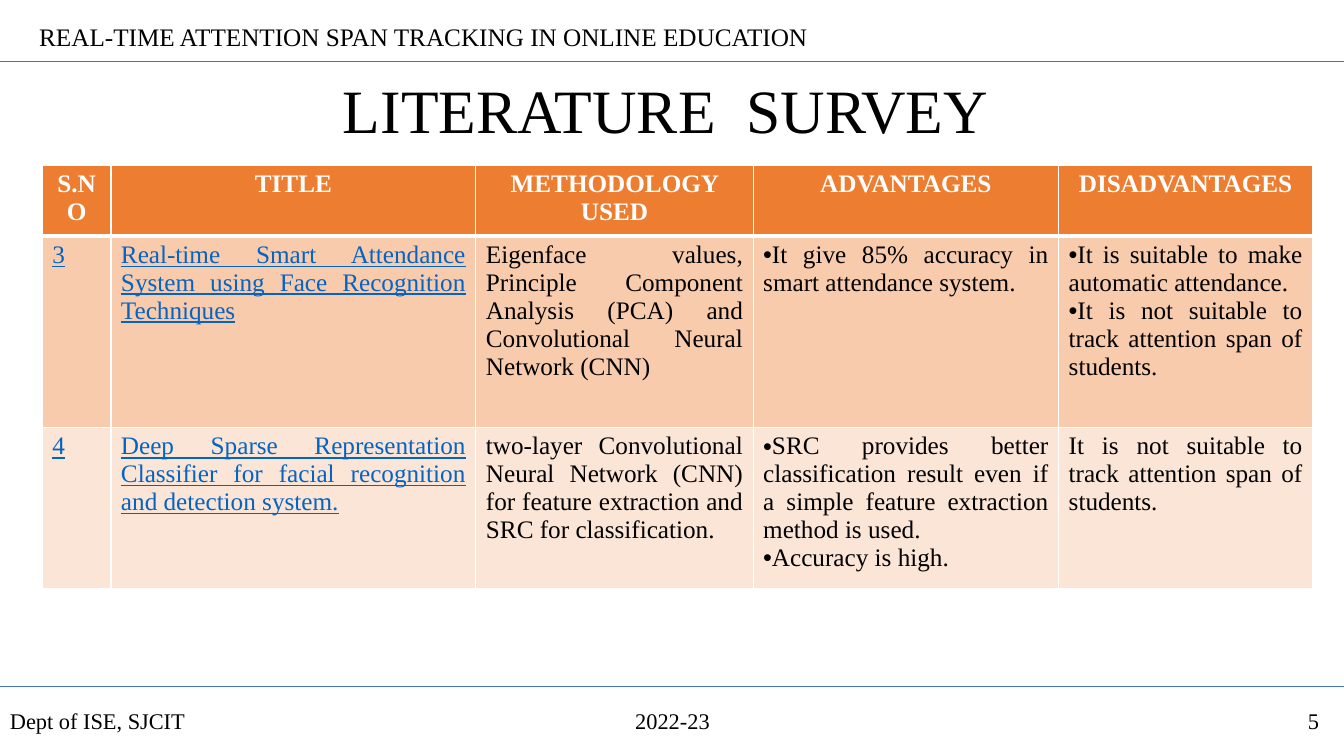
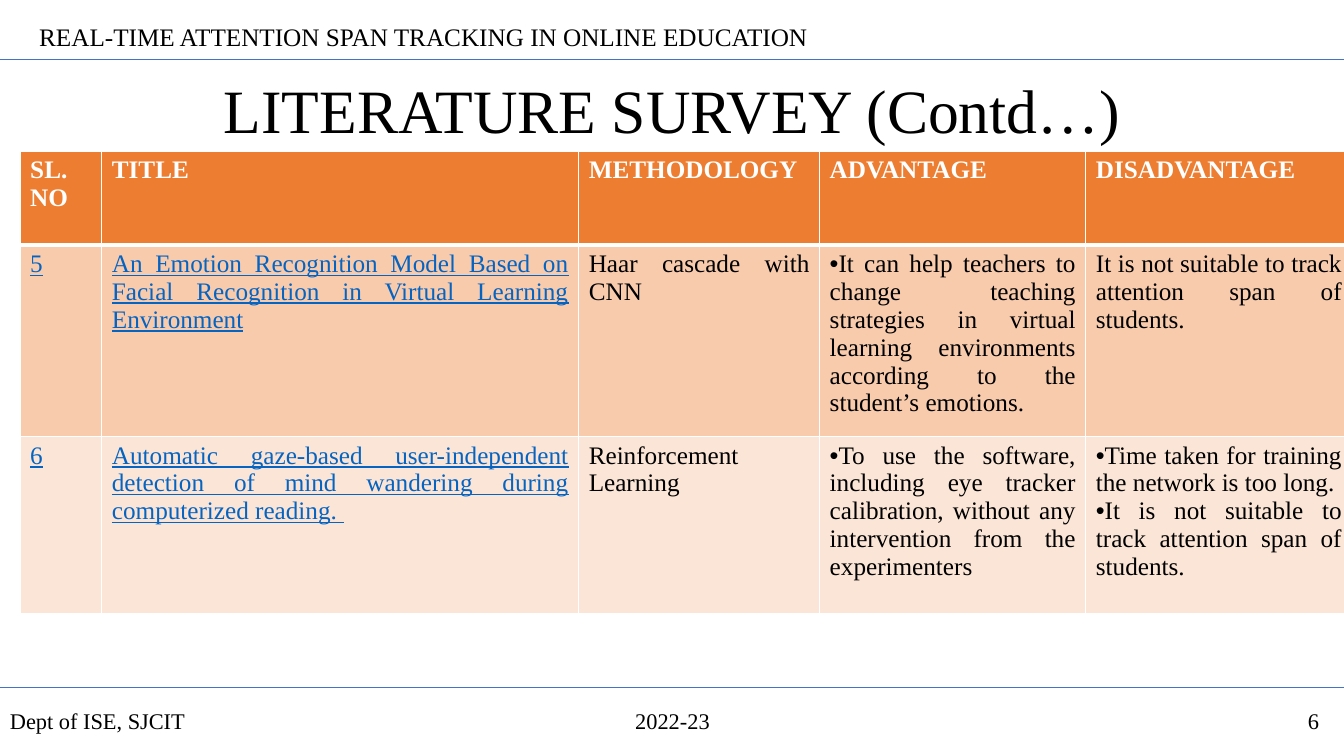
"""Builds two literature survey slides with a shared header, footer and table style."""
from lxml import etree
from pptx import Presentation
from pptx import util as u
from pptx.dml.color import RGBColor
from pptx.enum import shapes, text
from pptx.oxml import ns

FONT = "Times New Roman"
COLORS = {
    "text": "000000",
    "rule": "4472C4",
    "link": "0563C1",
    "white": "FFFFFF",
    "header": "ED7D31",
    "odd_row": "F8CBAD",
    "even_row": "FBE5D6",
}
ALIGN = text.PP_ALIGN
ANCHOR = text.MSO_ANCHOR
UNSUITABLE = "It is not suitable to track attention span of students."

SURVEYS = [
    {
        "title": "LITERATURE  SURVEY ",
        "page": "5",
        "rules": [0.61, 6.81],
        "origin": (0.42, 1.64),
        "columns": [0.68, 3.62, 2.75, 3.03, 2.52],
        "rows": [0.7, 1.9, 1.6],
        "header_align": ALIGN.CENTER,
        "cells": [
            ["S.NO", "TITLE", "METHODOLOGY USED", "ADVANTAGES", "DISADVANTAGES"],
            [
                "3",
                "Real-time Smart Attendance System using Face Recognition Techniques",
                "Eigenface values, Principle Component Analysis (PCA) and "
                "Convolutional Neural Network (CNN)",
                "•It give 85% accuracy in smart attendance system.",
                "•It is suitable to make automatic attendance.\n•" + UNSUITABLE,
            ],
            [
                "4",
                "Deep Sparse Representation Classifier for facial recognition "
                "and detection system.",
                "two-layer Convolutional Neural Network (CNN) for feature "
                "extraction and SRC for classification.",
                "•SRC provides better classification result even if a simple "
                "feature extraction method is used.\n•Accuracy is high.",
                UNSUITABLE,
            ],
        ],
    },
    {
        "title": "LITERATURE SURVEY (Contd…)",
        "page": "6",
        "rules": [0.59, 6.82],
        "origin": (0.2, 1.5),
        "columns": [0.81, 4.73, 2.39, 2.64, 2.64],
        "rows": [0.93, 1.76, 1.76],
        "header_align": ALIGN.LEFT,
        "cells": [
            ["SL.\nNO", "TITLE", "METHODOLOGY", "ADVANTAGE", "DISADVANTAGE"],
            [
                "5",
                "An Emotion Recognition Model Based on Facial Recognition in "
                "Virtual Learning Environment",
                "Haar cascade with CNN",
                "•It can help teachers to change teaching strategies in virtual "
                "learning environments according to the student’s emotions.",
                UNSUITABLE,
            ],
            [
                "6",
                "Automatic gaze-based user-independent detection of mind "
                "wandering during computerized reading. ",
                "Reinforcement Learning",
                "•To use the software, including eye tracker calibration, without "
                "any intervention from the experimenters",
                "•Time taken for training the network is too long.\n•" + UNSUITABLE,
            ],
        ],
    },
]


def write(frame, content, size, align, color="text", bold=False, underline=False):
    frame.text = content.replace("•", "")
    for paragraph, line in zip(frame.paragraphs, content.split("\n")):
        paragraph.alignment = align
        if line.startswith("•"):
            properties = paragraph._p.get_or_add_pPr()
            properties.set("marL", "0")
            properties.set("indent", "0")
            etree.SubElement(properties, ns.qn("a:buFont"), typeface="Arial")
            etree.SubElement(properties, ns.qn("a:buChar"), char="•")
        for run in paragraph.runs:
            run.font.name = FONT
            run.font.size = u.Pt(size)
            run.font.bold = bold
            run.font.underline = underline
            run.font.color.rgb = RGBColor.from_string(COLORS[color])


def add_border(cell, side, width):
    line = etree.SubElement(cell._tc.get_or_add_tcPr(), ns.qn("a:" + side), w=str(u.Pt(width)))
    fill = etree.SubElement(line, ns.qn("a:solidFill"))
    etree.SubElement(fill, ns.qn("a:srgbClr"), val=COLORS["white"])


presentation = Presentation()
presentation.slide_width = u.Inches(13.33)
presentation.slide_height = u.Inches(7.5)

for survey in SURVEYS:
    slide = presentation.slides.add_slide(presentation.slide_layouts[6])

    labels = [
        (survey["title"], 0.92, 0.4, 11.5, 1.45, 44, ALIGN.CENTER, ANCHOR.MIDDLE),
        ("REAL-TIME ATTENTION SPAN TRACKING IN ONLINE EDUCATION",
         0.29, 0.16, 11.09, 0.4, 18, ALIGN.LEFT, ANCHOR.TOP),
        ("Dept of ISE, SJCIT", 0, 6.95, 3.92, 0.4, 16, ALIGN.LEFT, ANCHOR.MIDDLE),
        ("2022-23", 4.42, 6.95, 4.5, 0.4, 16, ALIGN.CENTER, ANCHOR.MIDDLE),
        (survey["page"], 9.42, 6.95, 3.76, 0.4, 16, ALIGN.RIGHT, ANCHOR.MIDDLE),
    ]
    for content, left, top, width, height, size, align, anchor in labels:
        box = slide.shapes.add_textbox(
            u.Inches(left), u.Inches(top), u.Inches(width), u.Inches(height))
        box.text_frame.word_wrap = True
        box.text_frame.vertical_anchor = anchor
        write(box.text_frame, content, size, align)
        if size == 44:
            box.text_frame.paragraphs[0].line_spacing = 0.9

    for top in survey["rules"]:
        rule = slide.shapes.add_connector(
            shapes.MSO_CONNECTOR.STRAIGHT,
            u.Inches(0), u.Inches(top), presentation.slide_width, u.Inches(top))
        rule.line.color.rgb = RGBColor.from_string(COLORS["rule"])
        rule.line.width = u.Pt(0.5)
        etree.SubElement(rule._element.spPr, ns.qn("a:effectLst"))

    left, top = survey["origin"]
    columns, rows = survey["columns"], survey["rows"]
    table = slide.shapes.add_table(
        len(rows), len(columns), u.Inches(left), u.Inches(top),
        u.Inches(sum(columns)), u.Inches(sum(rows))).table
    for column, width in zip(table.columns, columns):
        column.width = u.Inches(width)
    for row, height in zip(table.rows, rows):
        row.height = u.Inches(height)

    for row_index, contents in enumerate(survey["cells"]):
        row_color = ["header", "odd_row", "even_row"][row_index]
        is_header = row_index == 0
        for column_index, content in enumerate(contents):
            cell = table.cell(row_index, column_index)
            for side in ["lnL", "lnR", "lnT", "lnB"]:
                thick = (is_header and side == "lnB") or (row_index == 1 and side == "lnT")
                add_border(cell, side, 3 if thick else 1)
            cell.fill.solid()
            cell.fill.fore_color.rgb = RGBColor.from_string(COLORS[row_color])
            if is_header:
                write(cell.text_frame, content, 18, survey["header_align"], "white", bold=True)
            elif column_index < 2:
                write(cell.text_frame, content, 18, ALIGN.JUSTIFY, "link", underline=True)
            else:
                write(cell.text_frame, content, 18, ALIGN.JUSTIFY)

presentation.save("out.pptx")
